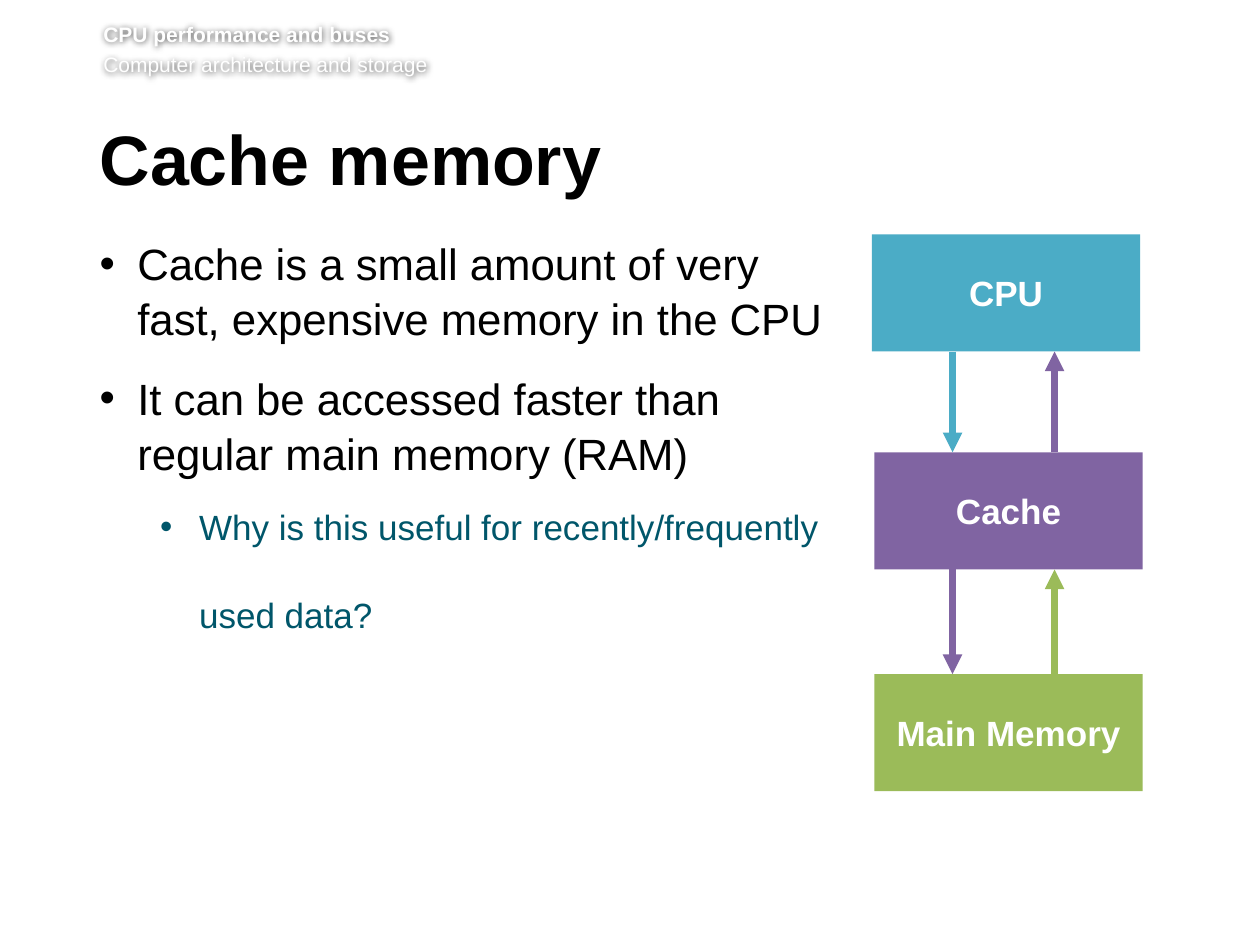
from lxml.etree import SubElement
from pptx import Presentation
from pptx.dml.color import RGBColor
from pptx.enum.shapes import MSO_CONNECTOR, MSO_SHAPE
from pptx.enum.text import MSO_ANCHOR, MSO_AUTO_SIZE, PP_ALIGN
from pptx.oxml.ns import qn
from pptx.util import Inches, Pt

COLORS = {
    "white": "FFFFFF",
    "black": "000000",
    "question": "00566A",
    "cpu": "4BACC6",
    "cache": "8064A2",
    "memory": "9BBB59",
    "shadow": "000000",
}
BOX_WIDTH, BOX_HEIGHT = 2.13, 0.93
BOXES = [
    ("CPU", 6.92, 1.86, "cpu"),
    ("Cache", 6.94, 3.59, "cache"),
    ("Main Memory", 6.94, 5.35, "memory"),
]
DOWN_X, UP_X = 7.56, 8.37
BULLETS = [
    ("Cache is a small amount of very fast, expensive memory in the CPU", 0),
    ("It can be accessed faster than regular main memory (RAM)", 0),
    ("Why is this useful for recently/frequently \vused data?", 1),
]
LEVELS = [
    {"size": 25, "color": "black", "after": 14, "margin": 0.3, "hanging": 0.3},
    {"size": 20, "color": "question", "after": 12, "margin": 0.79, "hanging": 0.31},
]


def rgb(name):
    return RGBColor.from_string(COLORS[name])


def set_font(paragraph, size, color, bold=False):
    font = paragraph.font
    font.name = "Arial"
    font.size = Pt(size)
    font.bold = bold
    font.color.rgb = rgb(color)


def set_frame(frame, left, top, right, bottom):
    frame.word_wrap = True
    frame.auto_size = MSO_AUTO_SIZE.NONE
    frame.vertical_anchor = MSO_ANCHOR.TOP
    frame.margin_left, frame.margin_top = Inches(left), Inches(top)
    frame.margin_right, frame.margin_bottom = Inches(right), Inches(bottom)


def add_text_box(slide, left, top, width, height):
    return slide.shapes.add_textbox(Inches(left), Inches(top), Inches(width), Inches(height))


def next_paragraph(frame, index):
    return frame.add_paragraph() if index else frame.paragraphs[0]


def add_header(slide):
    box = add_text_box(slide, 0.82, 0.17, 8.82, 0.49)
    frame = box.text_frame
    set_frame(frame, 0, 0, 0, 0.05)
    lines = [("CPU performance and buses", True), ("Computer architecture and storage", False)]
    for index, (text, bold) in enumerate(lines):
        paragraph = next_paragraph(frame, index)
        paragraph.text = text
        paragraph.space_before = Pt(2.9)
        set_font(paragraph, 12, "white", bold)
    effects = SubElement(box.element.spPr, qn("a:effectLst"))
    shadow = SubElement(effects, qn("a:outerShdw"), blurRad=str(Pt(4)), dist="0", dir="0")
    color = SubElement(shadow, qn("a:srgbClr"), val=COLORS["shadow"])
    SubElement(color, qn("a:alpha"), val="70000")


def add_title(slide):
    title = slide.shapes.title
    title.left, title.top = Inches(0.79), Inches(0.99)
    title.width, title.height = Inches(8.55), Inches(0.73)
    set_frame(title.text_frame, 0, 0.05, 0.1, 0.05)
    title.text_frame.text = "Cache memory"
    paragraph = title.text_frame.paragraphs[0]
    paragraph.alignment = PP_ALIGN.LEFT
    paragraph.line_spacing = Pt(39)
    paragraph.space_after = Pt(15)
    set_font(paragraph, 40, "black", True)


def add_bullets(slide):
    frame = add_text_box(slide, 0.79, 1.86, 5.84, 3.78).text_frame
    set_frame(frame, 0, 0, 0.1, 0.05)
    for index, (text, level) in enumerate(BULLETS):
        style = LEVELS[level]
        paragraph = next_paragraph(frame, index)
        paragraph.text = text
        paragraph.level = level
        paragraph.line_spacing = 1.05
        paragraph.space_after = Pt(style["after"])
        properties = paragraph._p.get_or_add_pPr()
        properties.set("marL", str(Inches(style["margin"])))
        properties.set("indent", str(-Inches(style["hanging"])))
        SubElement(properties, qn("a:buFont"), typeface="Arial")
        SubElement(properties, qn("a:buChar"), char="•")
        set_font(paragraph, style["size"], style["color"])
        for line_break in paragraph._p.findall(qn("a:br")):
            SubElement(line_break, qn("a:rPr"), sz=str(style["size"] * 100))


def add_box(slide, text, left, top, color):
    box = slide.shapes.add_shape(
        MSO_SHAPE.RECTANGLE, Inches(left), Inches(top), Inches(BOX_WIDTH), Inches(BOX_HEIGHT)
    )
    box.shadow.inherit = False
    box.fill.solid()
    box.fill.fore_color.rgb = rgb(color)
    box.line.fill.background()
    frame = box.text_frame
    frame.word_wrap = True
    frame.vertical_anchor = MSO_ANCHOR.MIDDLE
    frame.text = text
    paragraph = frame.paragraphs[0]
    paragraph.alignment = PP_ALIGN.CENTER
    set_font(paragraph, 20, "white", True)


def add_arrow(slide, x, start, end, color):
    arrow = slide.shapes.add_connector(
        MSO_CONNECTOR.STRAIGHT, Inches(x), Inches(start), Inches(x), Inches(end)
    )
    arrow.line.color.rgb = rgb(color)
    arrow.line.width = Pt(3.75)
    SubElement(arrow.line._get_or_add_ln(), qn("a:tailEnd"), type="triangle")
    SubElement(arrow.element.spPr, qn("a:effectLst"))


def add_memory_diagram(slide):
    for box in BOXES:
        add_box(slide, *box)
    for (_, _, upper_top, upper_color), (_, _, lower_top, lower_color) in zip(BOXES, BOXES[1:]):
        upper_bottom = upper_top + BOX_HEIGHT
        add_arrow(slide, DOWN_X, upper_bottom, lower_top, upper_color)
        add_arrow(slide, UP_X, lower_top, upper_bottom, lower_color)


def main():
    presentation = Presentation()
    presentation.slide_width = Inches(10)
    presentation.slide_height = Inches(7.5)
    slide = presentation.slides.add_slide(presentation.slide_layouts[5])
    add_header(slide)
    add_title(slide)
    add_bullets(slide)
    add_memory_diagram(slide)
    presentation.save("out.pptx")


if __name__ == "__main__":
    main()
